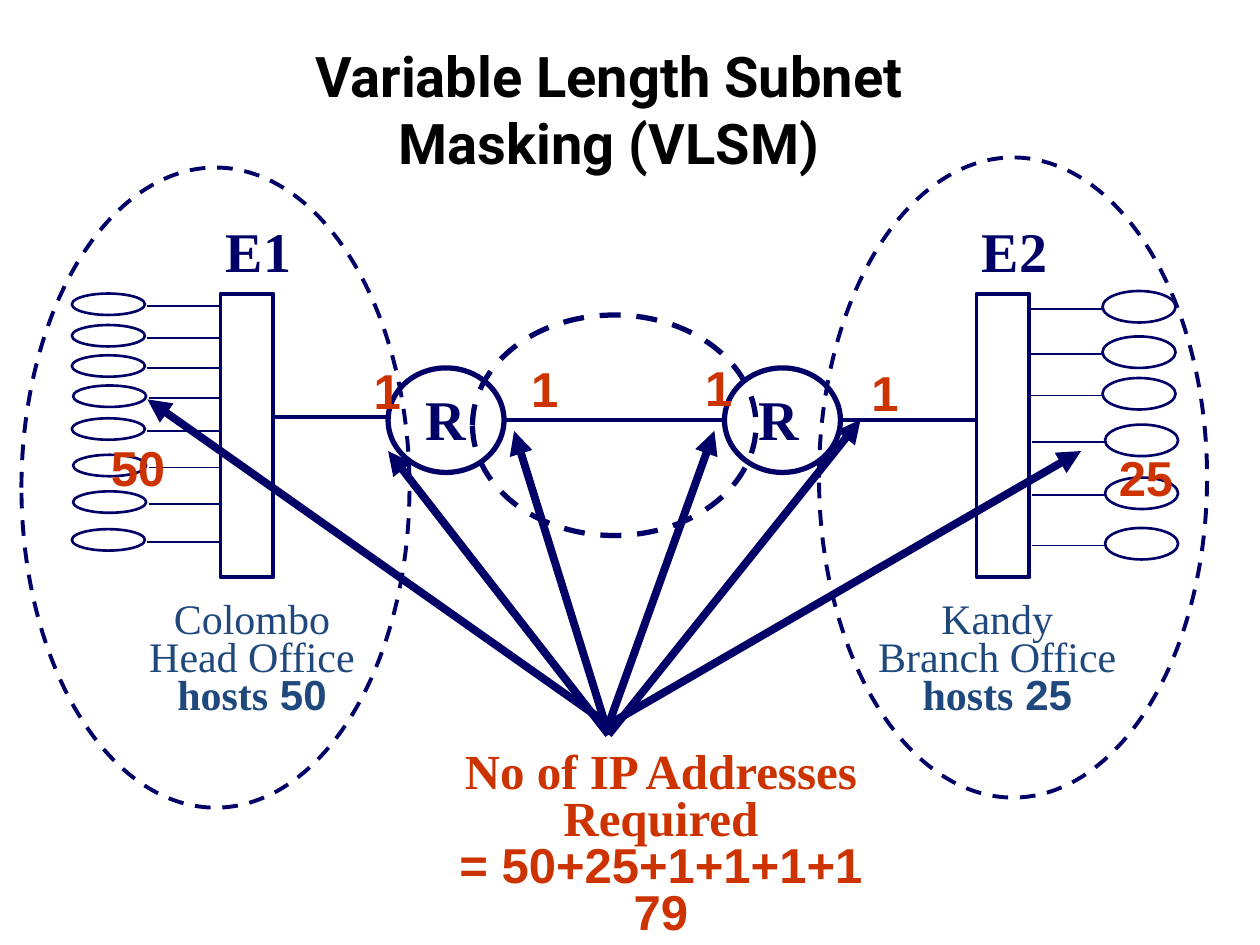
import pptx
import pptx.dml.color
import pptx.enum.dml
import pptx.enum.shapes
import pptx.enum.text
import pptx.oxml
import pptx.oxml.ns
import pptx.util

Inches = pptx.util.Inches
ALIGN = pptx.enum.text.PP_ALIGN
SHAPES = pptx.enum.shapes.MSO_SHAPE
NAVY, BLUE, ORANGE, BLACK = "000066", "1F497D", "CC3300", "000000"
SERIF = "Times New Roman"


def rgb(color):
    return pptx.dml.color.RGBColor.from_string(color)


def add_element(parent, tag, **attributes):
    element = pptx.oxml.parse_xml(f"<{tag} {pptx.oxml.ns.nsdecls('a')}/>")
    for name, value in attributes.items():
        element.set(name, value)
    parent.append(element)


class Diagram:
    """Draws navy outlines and right-to-left text on one slide."""

    def __init__(self, slide):
        self.slide = slide
        self.shapes = slide.shapes

    def format_text(self, frame, paragraphs, size, color, font=SERIF, align=ALIGN.RIGHT,
                    spacing=None, bold_from=0, margins=(0.1, 0.05)):
        """Fill a frame; paragraphs from index bold_from onwards are bold."""
        frame.word_wrap = True
        frame.auto_size = pptx.enum.text.MSO_AUTO_SIZE.NONE
        frame.margin_left = frame.margin_right = Inches(margins[0])
        frame.margin_top = frame.margin_bottom = Inches(margins[1])
        frame.text = "\n".join(paragraphs)
        for index, paragraph in enumerate(frame.paragraphs):
            paragraph.alignment = align
            paragraph.line_spacing = spacing
            paragraph._p.get_or_add_pPr().set("rtl", "1")
            for run in paragraph.runs:
                # Digits in right-to-left text use the complex-script font.
                add_element(run._r.get_or_add_rPr(), "a:cs", typeface="Arial")
                run.font.name = font
                run.font.size = pptx.util.Pt(size)
                run.font.bold = index >= bold_from
                run.font.color.rgb = rgb(color)

    def title(self, text, left, top, width, height):
        title = self.shapes.title
        title.left, title.top = Inches(left), Inches(top)
        title.width, title.height = Inches(width), Inches(height)
        self.format_text(title.text_frame, [text], 32, BLACK, "Roboto", ALIGN.CENTER,
                         margins=(0, 0))

    def text(self, paragraphs, left, top, width, height, size, color, **style):
        box = self.shapes.add_textbox(Inches(left), Inches(top), Inches(width), Inches(height))
        self.format_text(box.text_frame, paragraphs, size, color, **style)

    def outline(self, kind, left, top, width, height, weight, dashed=False, parent=None):
        shape = (parent or self.slide).shapes.add_shape(
            kind, Inches(left), Inches(top), Inches(width), Inches(height))
        shape.shadow.inherit = False
        shape.fill.background()
        shape.line.color.rgb = rgb(NAVY)
        shape.line.width = pptx.util.Pt(weight)
        if dashed:
            shape.line.dash_style = pptx.enum.dml.MSO_LINE.DASH

    def line(self, start, end, weight, arrow=False, parent=None):
        connector = (parent or self.slide).shapes.add_connector(
            pptx.enum.shapes.MSO_CONNECTOR.STRAIGHT,
            Inches(start[0]), Inches(start[1]), Inches(end[0]), Inches(end[1]))
        connector.line.color.rgb = rgb(NAVY)
        connector.line.width = pptx.util.Pt(weight)
        if arrow:
            add_element(connector.line._get_or_add_ln(), "a:tailEnd", type="triangle")
        add_element(connector._element.spPr, "a:effectLst")

    def host(self, wire_start, wire_end, y, left, height, rise):
        """A wire and its host ellipse, whose top lies rise above the wire."""
        group = self.shapes.add_group_shape()
        self.line((wire_start, y), (wire_end, y), 1, parent=group)
        self.outline(SHAPES.OVAL, left, y - rise, 0.58, height, 1.5, parent=group)


def main():
    presentation = pptx.Presentation()
    presentation.slide_width, presentation.slide_height = Inches(10), Inches(7.5)
    diagram = Diagram(presentation.slides.add_slide(presentation.slide_layouts[5]))
    diagram.title("Variable Length Subnet Masking (VLSM)", 1.83, 0.33, 6.01, 1.07)

    for left in (3.08, 5.75):
        diagram.outline(SHAPES.OVAL, left, 2.92, 0.92, 0.83, 3)
    for name, left in (("E1", 1.75), ("E2", 7.75)):
        diagram.outline(SHAPES.RECTANGLE, left, 2.33, 0.42, 2.25, 2.25)
        diagram.text([name], left - 0.17, 1.67, 0.83, 0.64, 32, NAVY)
    for start, end, y in ((4, 5.75, 3.33), (3.08, 2.17, 3.31), (6.67, 7.75, 3.33)):
        diagram.line((start, y), (end, y), 2.25)
    for left in (3.3, 5.94):
        diagram.text(["R"], left, 3, 0.5, 0.64, 32, NAVY)

    for y, shift in ((2.43, 0), (2.68, 0), (2.92, 0), (3.16, 0.01),
                     (3.42, 0), (3.71, 0.01), (4, 0.01), (4.3, 0)):
        diagram.host(1.75 + shift, 1.17 + shift, y, 0.57 + shift, 0.17, 0.1)
    for y, shift in ((2.45, 0), (2.81, 0), (3.14, 0), (3.51, 0.02), (3.93, 0.02), (4.33, 0.02)):
        diagram.host(8.17 + shift, 8.75 + shift, y, 8.75 + shift, 0.25, 0.14)

    for lines, left, width in ((["Colombo", "Head Office", "50 hosts"], 1, 2),
                               (["Kandy", "Branch Office", "25 hosts"], 6.75, 2.33)):
        diagram.text(lines, left, 4.75, width, 1, 24, BLUE, align=ALIGN.CENTER,
                     spacing=0.75, bold_from=2)
    diagram.text(["No of IP Addresses Required", "50+25+1+1+1+1 = 79"], 3.33, 5.92, 3.83, 1.6,
                 28, ORANGE, align=ALIGN.CENTER, spacing=0.8)

    for start_y, target in ((5.83, (4.08, 3.42)), (5.75, (5.67, 3.42)), (5.83, (3.08, 3.58)),
                            (5.83, (6.83, 3.33)), (5.75, (8.58, 3.58)), (5.75, (1.17, 3.17))):
        diagram.line((4.83, start_y), target, 4.5, arrow=True)

    for count, left, top, width in (("1", 3.95, 2.8, 0.58), ("1", 5.33, 2.79, 0.58),
                                    ("1", 2.7, 2.81, 0.58), ("1", 6.65, 2.83, 0.58),
                                    ("25", 8.58, 3.5, 0.83), ("50", 0.58, 3.42, 0.83)):
        diagram.text([count], left, top, width, 0.57, 28, ORANGE, font="Calibri")

    for left, top, width, height, weight in ((0.17, 1.33, 3.08, 5.08, 2.25),
                                             (6.5, 1.25, 3.08, 5.08, 2.25),
                                             (3.75, 2.5, 2.25, 1.75, 3)):
        diagram.outline(SHAPES.OVAL, left, top, width, height, weight, dashed=True)
    presentation.save("out.pptx")


if __name__ == "__main__":
    main()
